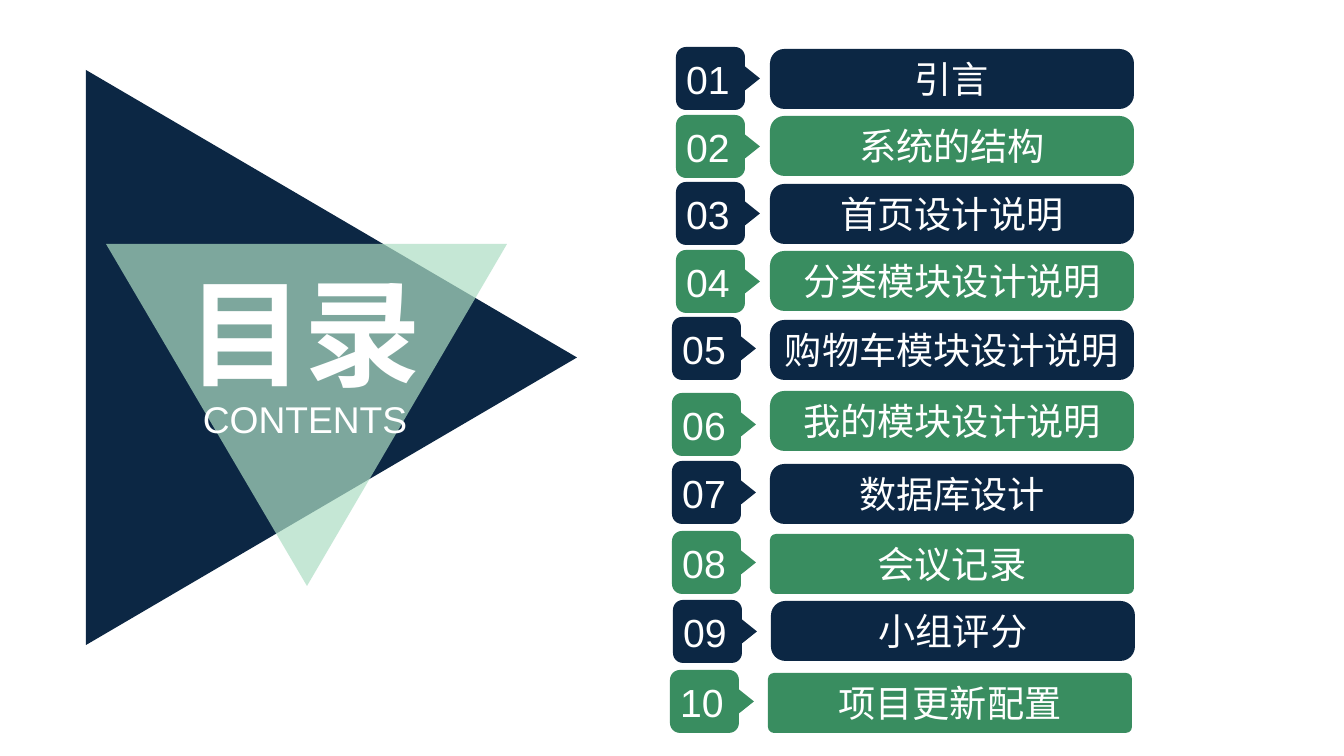
from math import cos, radians, sin

from lxml import etree
from pptx import Presentation
from pptx.dml.color import RGBColor
from pptx.enum.shapes import MSO_SHAPE
from pptx.enum.text import MSO_ANCHOR, MSO_AUTO_SIZE, PP_ALIGN
from pptx.oxml.ns import qn
from pptx.util import Pt

PX = 9566
NAVY = RGBColor(0x0C, 0x27, 0x44)
GREEN = RGBColor(0x39, 0x8D, 0x60)
MINT = RGBColor(0xAD, 0xDE, 0xC4)
WHITE = RGBColor(0xFF, 0xFF, 0xFF)
FONT = "Arial"
ROUNDED = MSO_SHAPE.ROUNDED_RECTANGLE
CENTER = PP_ALIGN.CENTER
TOP, MIDDLE = MSO_ANCHOR.TOP, MSO_ANCHOR.MIDDLE
NO_FIT = MSO_AUTO_SIZE.NONE
TITLE_ONLY = 5

TAG_SIZE = (84, 63)
BAR_SIZE = (364, 60)
WIDE_ROUND, SLIGHT_ROUND = 0.24, 0.1
ENTRIES = [
    ("引言", (676, 47), (770, 49), WIDE_ROUND),
    ("系统的结构", (676, 115), (770, 116), WIDE_ROUND),
    ("首页设计说明", (676, 182), (770, 184), WIDE_ROUND),
    ("分类模块设计说明", (676, 250), (770, 251), WIDE_ROUND),
    ("购物车模块设计说明", (672, 317), (770, 320), WIDE_ROUND),
    ("我的模块设计说明", (672, 393), (770, 391), WIDE_ROUND),
    ("数据库设计", (672, 461), (770, 464), WIDE_ROUND),
    ("会议记录", (672, 531), (770, 534), SLIGHT_ROUND),
    ("小组评分", (673, 600), (771, 601), WIDE_ROUND),
    ("项目更新配置", (670, 670), (768, 673), SLIGHT_ROUND),
]


def px(*lengths):
    return [round(length * PX) for length in lengths]


def write(shape, text, size, bold=False, anchor=MIDDLE, insets=(0, 0, 0, 0)):
    frame = shape.text_frame
    frame.word_wrap = True
    frame.auto_size = NO_FIT
    frame.vertical_anchor = anchor
    (frame.margin_left, frame.margin_top,
     frame.margin_right, frame.margin_bottom) = px(*insets)
    para = frame.paragraphs[0]
    para.alignment = CENTER
    span = para.add_run()
    span.text = text
    span.font.name = FONT
    span.font.size = Pt(size)
    span.font.bold = bold
    span.font.color.rgb = WHITE


def paint(shape, color):
    shape.shadow.inherit = False
    shape.fill.solid()
    shape.fill.fore_color.rgb = color
    shape.line.fill.background()


def add_outline(page, points, color):
    start, *others = [px(*point) for point in points]
    builder = page.shapes.build_freeform(*start, scale=1.0)
    builder.add_line_segments(others, close=True)
    shape = builder.convert_to_shape()
    paint(shape, color)
    return shape


def set_opacity(shape, percent):
    color = shape.fill._xPr.find(qn("a:solidFill"))[0]
    etree.SubElement(color, qn("a:alpha")).set("val", str(percent * 1000))


def tag_points(left, top, width, height):
    radius, tip, half_tip = 10, 15, 12
    right, bottom = left + width - tip, top + height
    middle = top + height / 2

    def corner(center_x, center_y, start):
        return [(center_x + radius * cos(radians(angle)),
                 center_y + radius * sin(radians(angle)))
                for angle in range(start, start + 91, 15)]

    return (corner(left + radius, bottom - radius, 90)
            + corner(left + radius, top + radius, 180)
            + corner(right - radius, top + radius, 270)
            + [(right, middle - half_tip), (left + width, middle),
               (right, middle + half_tip)]
            + corner(right - radius, bottom - radius, 0))


def add_cover(page, left, top, width, height):
    add_outline(page, [(left, top), (left + width, top + height / 2),
                       (left, top + height)], NAVY)
    mint = add_outline(page, [(left + 20, top + 174), (left + 421, top + 174),
                              (left + 221, top + 516)], MINT)
    set_opacity(mint, 70)

    title = page.shapes.title
    title.left, title.top, title.width, title.height = px(
        left + 99, top + 191, 238, 141)
    write(title, "目录", 88, bold=True, anchor=TOP)
    page.shapes.element.append(title.element)

    subtitle = page.shapes.add_textbox(*px(left + 94, top + 326, 250, 45))
    write(subtitle, "CONTENTS", 28, anchor=TOP)


def add_entry(page, number, text, tag_at, bar_at, rounding):
    color = NAVY if number % 2 else GREEN
    tag = add_outline(page, tag_points(*tag_at, *TAG_SIZE), color)
    write(tag, f"{number:02}", 29.5, insets=(0, 5, 20, 5))
    bar = page.shapes.add_shape(ROUNDED, *px(*bar_at, *BAR_SIZE))
    bar.adjustments[0] = rounding
    paint(bar, color)
    write(bar, text, 28)


def main():
    deck = Presentation()
    deck.slide_width, deck.slide_height = px(1344, 756)
    page = deck.slides.add_slide(deck.slide_layouts[TITLE_ONLY])
    add_cover(page, 86, 70, 491, 575)
    for number, entry in enumerate(ENTRIES, 1):
        add_entry(page, number, *entry)
    deck.save("out.pptx")


if __name__ == "__main__":
    main()
